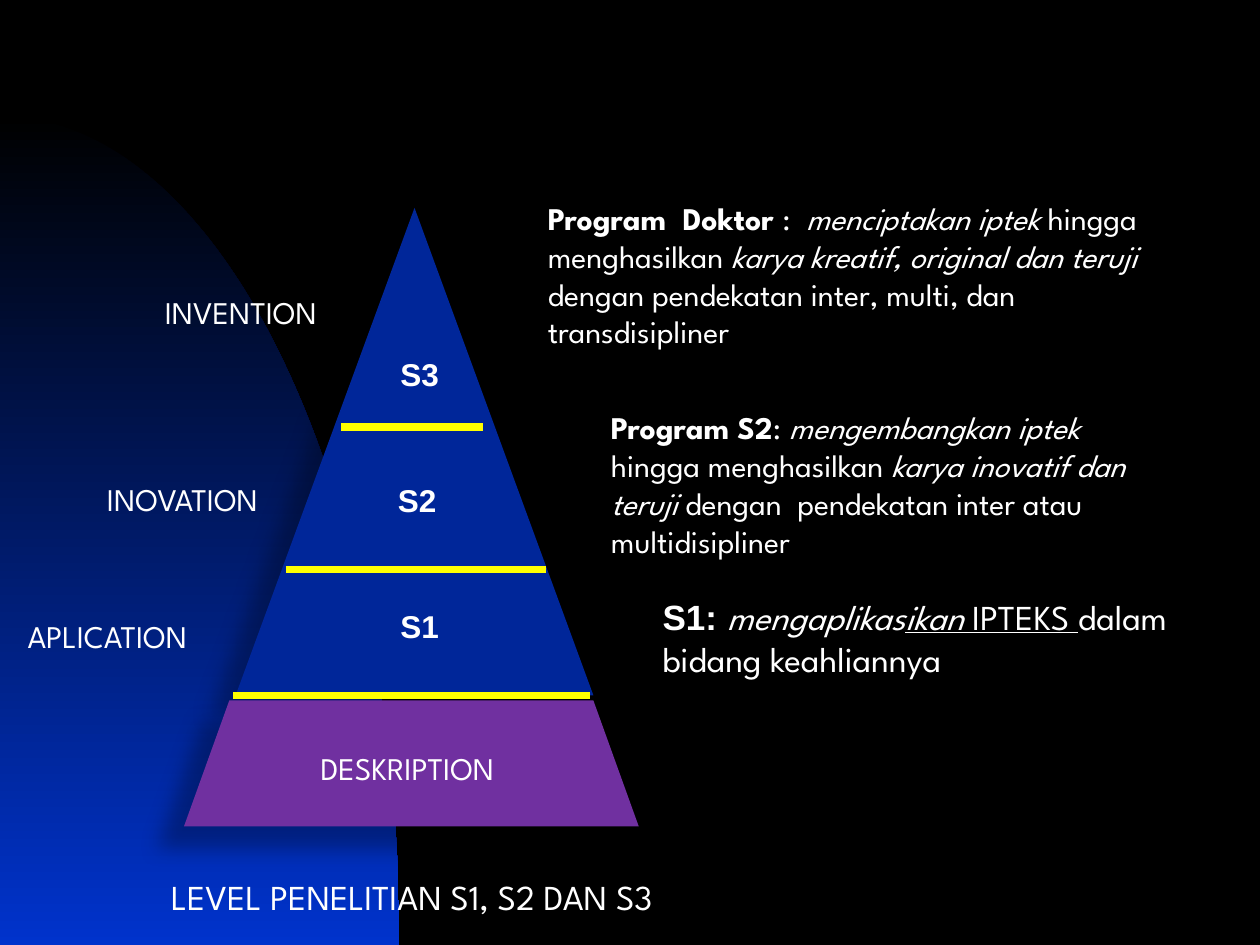
from math import cos, sin, pi
from lxml import etree
from pptx import Presentation
from pptx.dml.color import RGBColor
from pptx.enum.shapes import MSO_CONNECTOR as Conn, MSO_SHAPE as Kind
from pptx.enum.text import MSO_ANCHOR as Anchor, PP_ALIGN as Align
from pptx.oxml import parse_xml
from pptx.oxml.ns import nsdecls, qn
from pptx.util import Inches, Pt

COLS, ROWS = 100, 75
BLACK, WHITE, YELLOW = "000000", "FFFFFF", "FFFF00"
BLUE, NAVY, PURPLE = "0033CC", "002699", "7030A0"
SANS, BODY = "Arial", "League Spartan"


def color(code):
    return RGBColor.from_string(code)


class Board:
    """Style and current slide; lengths are columns and rows of the grid."""

    def __init__(self, deck):
        self.cell_w = deck.slide_width / COLS
        self.cell_h = deck.slide_height / ROWS
        self.slide = deck.slides.add_slide(deck.slide_layouts[6])
        self.shapes = self.slide.shapes
        fill = self.slide.background.fill
        fill.solid()
        fill.fore_color.rgb = color(BLACK)

    def at(self, x, y):
        return round(x * self.cell_w), round(y * self.cell_h)

    def add_runs(self, frame, runs, size=18, face=BODY):
        """Add runs given as (text, marks, face); marks hold b, i or u."""
        frame.word_wrap = True
        para = frame.paragraphs[0]
        for text, marks, *own in runs:
            run = para.add_run()
            run.text = text
            font = run.font
            font.size = Pt(size)
            font.name = own[0] if own else face
            font.color.rgb = color(WHITE)
            font.bold = "b" in marks
            font.italic = "i" in marks
            font.underline = "u" in marks
        return para

    def text(self, x, y, w, h, runs, **style):
        box = self.shapes.add_textbox(*self.at(x, y), *self.at(w, h))
        self.add_runs(box.text_frame, runs, **style)

    def block(self, kind, x, y, w, h, fill):
        """Add a filled shape with a soft shadow to the lower left."""
        shape = self.shapes.add_shape(kind, *self.at(x, y), *self.at(w, h))
        shape.fill.solid()
        shape.fill.fore_color.rgb = color(fill)
        shape.line.fill.background()
        shape.shadow.inherit = False
        glow = shape.element.spPr.find(qn("a:effectLst"))
        glow.append(parse_xml(
            f'<a:outerShdw {nsdecls("a")} blurRad="{Pt(11.8)}" '
            f'dist="{Pt(19.7)}" dir="{141 * 60000}" algn="ctr" '
            f'rotWithShape="0"><a:srgbClr val="{BLACK}">'
            '<a:alpha val="28000"/></a:srgbClr></a:outerShdw>'))
        return shape

    def bar(self, left, right, y):
        line = self.shapes.add_connector(
            Conn.STRAIGHT, *self.at(left, y), *self.at(right, y))
        line.line.color.rgb = color(YELLOW)
        line.line.width = Pt(4.5)
        etree.SubElement(line.element.spPr, qn("a:effectLst"))

    def arc(self, width, top, steps=60):
        """Add a quarter ellipse, centred on the lower left corner."""
        turns = [pi / 2 * n / steps for n in range(1, steps + 1)]
        rim = [self.at(width * sin(t), ROWS - (ROWS - top) * cos(t))
               for t in turns]
        form = self.shapes.build_freeform(*self.at(0, top))
        form.add_line_segments(rim + [self.at(0, ROWS)], close=True)
        shape = form.convert_to_shape()
        shape.shadow.inherit = False
        shape.line.fill.background()
        shape.fill.gradient()
        shape.fill.gradient_angle = 270
        for stop, code, place in zip(
                shape.fill.gradient_stops, (BLACK, BLUE), (0, 1)):
            stop.color.rgb = color(code)
            stop.position = place


def main():
    deck = Presentation()
    deck.slide_width, deck.slide_height = Inches(10), Inches(7.5)
    board = Board(deck)
    board.arc(31.7, 9.2)

    board.text(12.6, 69, 51.5, 4.4,
               [("LEVEL PENELITIAN S1, S2 DAN S3", "")], size=20)
    for x, y, w, name in ((1.2, 48.5, 17.9, "APLICATION"),
                          (7.5, 37.6, 16.8, "INOVATION"),
                          (12.1, 22.8, 18.3, "INVENTION")):
        board.text(x, y, w, 4, [(name, "")])

    board.text(51.6, 46.8, 42.1, 7.7, [
        ("S1: ", "b", SANS), ("mengaplikas", "i"), ("ikan ", "iu"),
        ("IPTEKS ", "u"), ("dalam bidang keahliannya", "")], size=20)
    board.text(47.5, 31.9, 46.2, 13.1, [
        ("Program S2", "b"), (": ", ""), ("mengembangkan iptek ", "i"),
        ("hingga menghasilkan ", ""), ("karya inovatif dan teruji", "i"),
        (" dengan  pendekatan inter atau multidisipliner", "")])
    board.text(42.5, 15.3, 49.6, 15.4, [
        ("Program  Doktor ", "b"), (":  ", ""), ("menciptakan iptek ", "i"),
        ("hingga menghasilkan ", ""),
        ("karya kreatif, original dan teruji ", "i"),
        ("dengan pendekatan inter, multi, dan transdisipliner", "")])

    board.block(Kind.ISOSCELES_TRIANGLE, 18.7, 16.5, 28.4, 38.7, NAVY)
    base = board.block(Kind.TRAPEZOID, 14.6, 55.6, 36.1, 10, PURPLE)
    base.adjustments[0] = 0.36
    base.text_frame.vertical_anchor = Anchor.MIDDLE
    para = board.add_runs(base.text_frame, [("DESKRIPTION ", "")])
    para.alignment = Align.CENTER

    for left, right, y in ((27.1, 38.3, 33.9), (22.7, 43.3, 45.2),
                           (18.5, 46.8, 55.2)):
        board.bar(left, right, y)
    for x, y, w, name in ((30.8, 27.7, 10, "S3"), (30.6, 37.7, 7.1, "S2"),
                          (30.8, 47.7, 7.5, "S1")):
        board.text(x, y, w, 4, [(name, "b")], face=SANS)

    deck.save("out.pptx")


if __name__ == "__main__":
    main()
